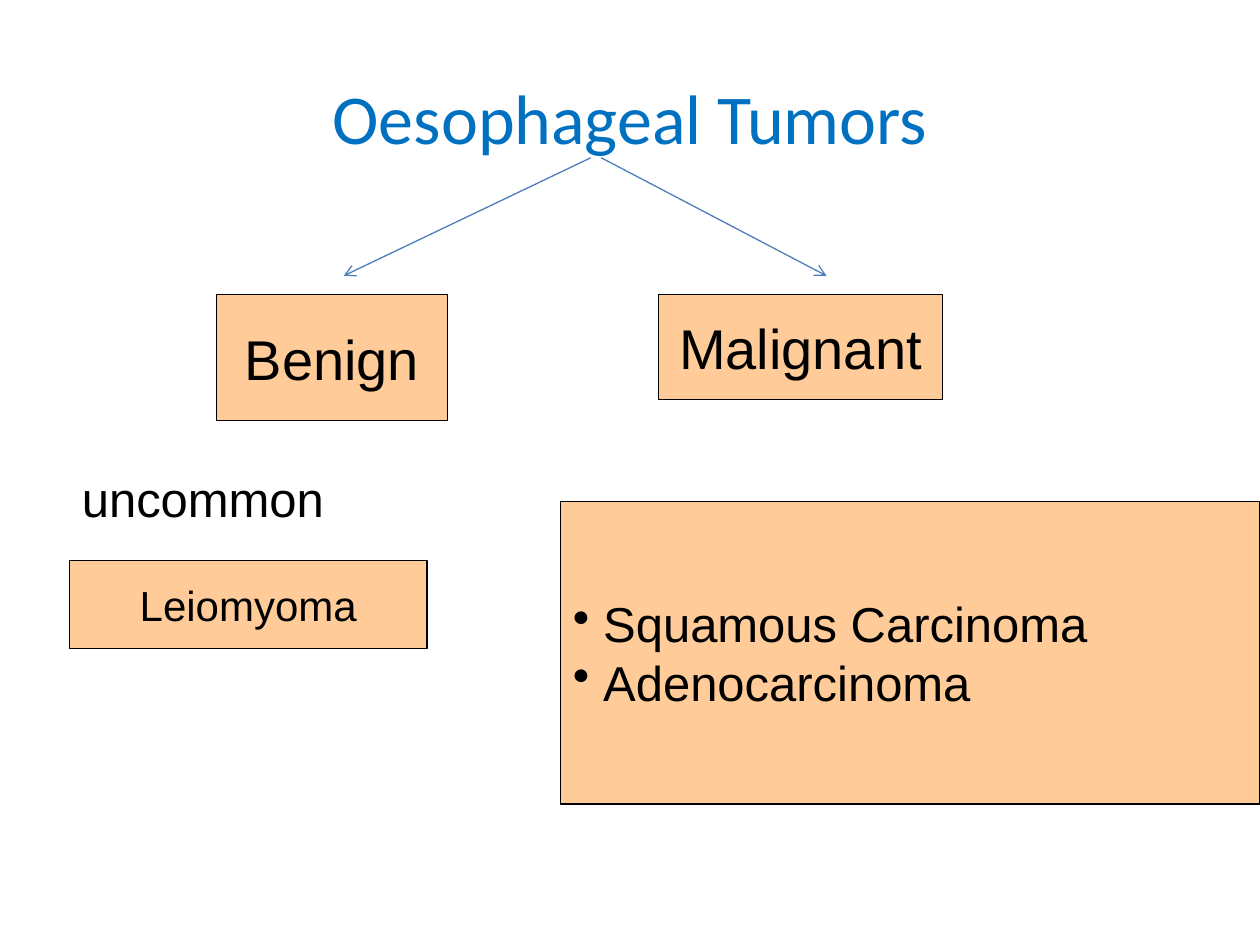
from dataclasses import dataclass

from lxml import etree
from pptx import Presentation
from pptx.dml.color import RGBColor
from pptx.enum.shapes import MSO_CONNECTOR, MSO_SHAPE
from pptx.enum.text import MSO_ANCHOR, PP_ALIGN
from pptx.oxml.ns import qn
from pptx.util import Cm, Pt

RECT = MSO_SHAPE.RECTANGLE
STRAIGHT = MSO_CONNECTOR.STRAIGHT
MIDDLE = MSO_ANCHOR.MIDDLE
LEFT, CENTER = PP_ALIGN.LEFT, PP_ALIGN.CENTER
TITLE_ONLY = 5


@dataclass(frozen=True)
class Theme:
    title_font: str = "Calibri"
    body_font: str = "Arial"
    title_color: RGBColor = RGBColor(0x00, 0x70, 0xC0)
    text_color: RGBColor = RGBColor(0x00, 0x00, 0x00)
    box_fill: RGBColor = RGBColor(0xFF, 0xCC, 0x99)
    arrow_color: RGBColor = RGBColor(0x4B, 0x7E, 0xBC)
    title_size: int = 40
    branch_size: int = 32
    body_size: int = 28
    small_size: int = 24
    line_width: float = 0.75
    bullet_indent: float = 0.61


class SlideBuilder:
    def __init__(self, slide, theme):
        self.s = slide
        self.theme = theme

    def _format(self, p, font, size, color, align):
        p.alignment = align
        p.font.name = font
        p.font.size = Pt(size)
        p.font.color.rgb = color

    def _write(self, tf, lines, size, align, bullets=False):
        tf.word_wrap = True
        for i, line in enumerate(lines):
            p = tf.paragraphs[0] if i == 0 else tf.add_paragraph()
            p.text = line
            self._format(p, self.theme.body_font, size, self.theme.text_color, align)
            if bullets:
                self._add_bullet(p)

    def _add_bullet(self, p):
        indent = Cm(self.theme.bullet_indent)
        pPr = p._p.get_or_add_pPr()
        pPr.set("marL", str(indent))
        pPr.set("indent", str(-indent))
        bullet = etree.Element(qn("a:buChar"), char="•")
        pPr.insert_element_before(bullet, "a:tabLst", "a:defRPr", "a:extLst")

    def title(self, text, left, top, width, height):
        sp = self.s.shapes.title
        sp.left, sp.top, sp.width, sp.height = map(Cm, (left, top, width, height))
        tf = sp.text_frame
        tf.text = text
        tf.vertical_anchor = MIDDLE
        self._format(tf.paragraphs[0], self.theme.title_font,
                     self.theme.title_size, self.theme.title_color, CENTER)

    def box(self, lines, left, top, width, height, size, align=CENTER, bullets=False):
        sp = self.s.shapes.add_shape(RECT, *map(Cm, (left, top, width, height)))
        sp.shadow.inherit = False
        sp.fill.solid()
        sp.fill.fore_color.rgb = self.theme.box_fill
        sp.line.color.rgb = self.theme.text_color
        sp.line.width = Pt(self.theme.line_width)
        sp.text_frame.vertical_anchor = MIDDLE
        self._write(sp.text_frame, lines, size, align, bullets)

    def label(self, text, left, top, width, height, size):
        sp = self.s.shapes.add_textbox(*map(Cm, (left, top, width, height)))
        self._write(sp.text_frame, [text], size, LEFT)

    def arrow(self, x1, y1, x2, y2):
        line = self.s.shapes.add_connector(STRAIGHT, *map(Cm, (x1, y1, x2, y2)))
        line.line.color.rgb = self.theme.arrow_color
        line.line.width = Pt(self.theme.line_width)
        etree.SubElement(line.line._get_or_add_ln(), qn("a:tailEnd"), type="arrow")
        etree.SubElement(line._element.spPr, qn("a:effectLst"))


def main():
    prs = Presentation()
    prs.slide_width, prs.slide_height = Cm(25.4), Cm(19.05)
    theme = Theme()
    b = SlideBuilder(prs.slides.add_slide(prs.slide_layouts[TITLE_ONLY]), theme)

    b.title("Oesophageal Tumors", 1.27, 0.76, 22.86, 3.18)

    branch_top = 5.94
    b.box(["Benign"], 4.37, branch_top, 4.65, 2.54, theme.branch_size)
    b.box(["Malignant"], 13.28, branch_top, 5.72, 2.11, theme.branch_size)

    b.box(["Leiomyoma"], 1.4, 11.3, 7.21, 1.78, theme.small_size)
    b.box(["Squamous Carcinoma", "Adenocarcinoma"], 11.3, 10.11, 14.1, 6.1,
          theme.body_size, align=LEFT, bullets=True)

    arrow_top, arrow_bottom = 3.18, 5.56
    b.arrow(11.91, arrow_top, 6.93, arrow_bottom)
    b.arrow(12.12, arrow_top, 16.66, arrow_bottom)

    b.label("uncommon", 1.4, 9.32, 5.94, 1.45, theme.body_size)

    prs.save("out.pptx")


if __name__ == "__main__":
    main()
